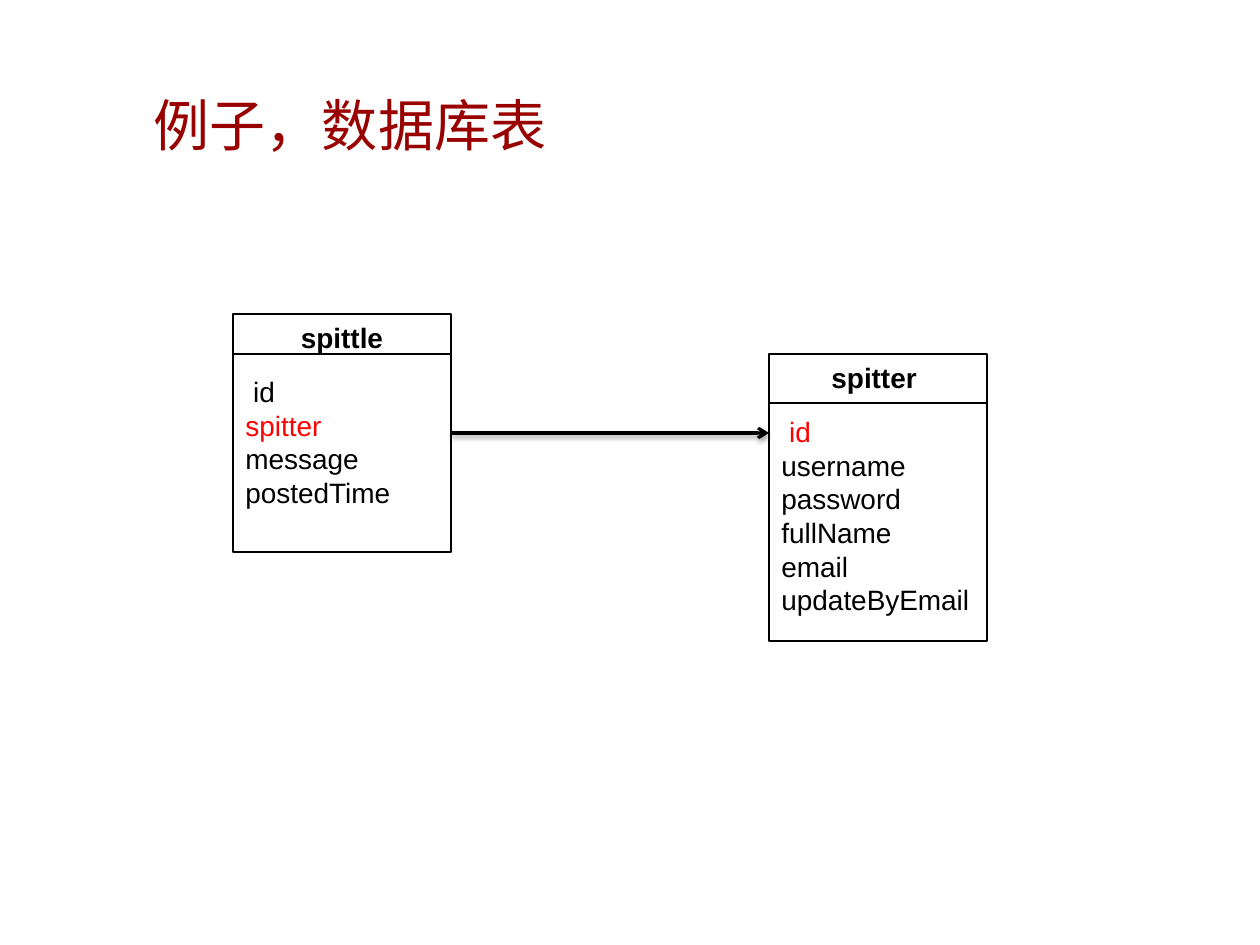
from lxml import etree
from pptx import Presentation, util as u
from pptx.dml.color import RGBColor
from pptx.enum import shapes, text
from pptx.oxml import parse_xml
from pptx.oxml.ns import nsdecls, qn

BLACK = RGBColor(0, 0, 0)
RED = RGBColor(255, 0, 0)
MAROON = RGBColor(0x99, 0, 0)
LATIN, HAN = "Arial", "Noto Sans CJK SC"

# Content: each field is a list of (words, colour) runs
TITLE = "例子，数据库表"
TABLES = [
    dict(name="spittle", box=(233, 314, 218, 238), head=40, fields=[
        [(" id", BLACK)], [("spitter", RED)],
        [("message", BLACK)], [("postedTime", BLACK)]]),
    dict(name="spitter ", box=(769, 354, 218, 287), head=49, fields=[
        [(" ", BLACK), ("id", RED)], [("username", BLACK)],
        [("password", BLACK)], [("fullName", BLACK)],
        [("email", BLACK)], [("updateByEmail", BLACK)]]),
]
SHADOW = ('<a:outerShdw blurRad="38100" dist="20320" dir="5400000" rotWithShape="0">'
          '<a:srgbClr val="000000"><a:alpha val="38000"/></a:srgbClr></a:outerShdw>')


def px(n):
    return u.Emu(n * 914400 // 126)


def add_run(para, words, size, color, font=LATIN, bold=False):
    run = para.add_run()
    run.text = words
    run.font.size, run.font.name, run.font.bold = u.Pt(size), font, bold
    run.font.color.rgb = color
    if font == HAN:
        etree.SubElement(run.font._element, qn("a:ea"), typeface=font)


def add_line(x1, y1, x2, y2, width, effect=""):
    line = slide.shapes.add_connector(
        shapes.MSO_CONNECTOR.STRAIGHT, px(x1), px(y1), px(x2), px(y2))
    line.line.color.rgb, line.line.width = BLACK, u.Pt(width)
    line._element.spPr.append(parse_xml(
        f'<a:effectLst {nsdecls("a")}>{effect}</a:effectLst>'))
    return line


def add_entity(name, box, head, fields):
    x, y, w, h = box
    shape = slide.shapes.add_shape(
        shapes.MSO_SHAPE.FLOWCHART_PROCESS, *map(px, box))
    shape.shadow.inherit = False
    shape.fill.background()
    shape.line.color.rgb, shape.line.width = BLACK, u.Pt(1.5)
    frame = shape.text_frame
    frame.word_wrap = True
    frame.vertical_anchor = text.MSO_ANCHOR.TOP
    para = frame.paragraphs[0]
    para.alignment, para.space_after = text.PP_ALIGN.CENTER, u.Pt(12)
    add_run(para, name, 16, BLACK, bold=True)
    for runs in fields:
        para = frame.add_paragraph()
        para.alignment = text.PP_ALIGN.LEFT
        for words, color in runs:
            add_run(para, words, 16, color)
    add_line(x, y + head, x + w, y + head, 1)
    return shape


deck = Presentation()
deck.slide_width, deck.slide_height = px(1260), px(945)
slide = deck.slides.add_slide(deck.slide_layouts[6])

# Title
frame = slide.shapes.add_textbox(px(154), px(64), px(1002), px(120)).text_frame
frame.word_wrap = True
frame.vertical_anchor = text.MSO_ANCHOR.MIDDLE
frame.margin_left = frame.margin_top = frame.margin_right = frame.margin_bottom = 0
add_run(frame.paragraphs[0], TITLE, 32, MAROON, HAN)

# Database tables
first, second = [add_entity(**table) for table in TABLES]

# Foreign key arrow, level with the middle of the first table
x, y, w, h = TABLES[0]["box"]
mid = y + h // 2
arrow = add_line(x + w, mid, TABLES[1]["box"][0], mid, 1.75, SHADOW)
arrow.begin_connect(first, 3)
etree.SubElement(arrow.line._get_or_add_ln(), qn("a:tailEnd"), type="arrow")

deck.save("out.pptx")
